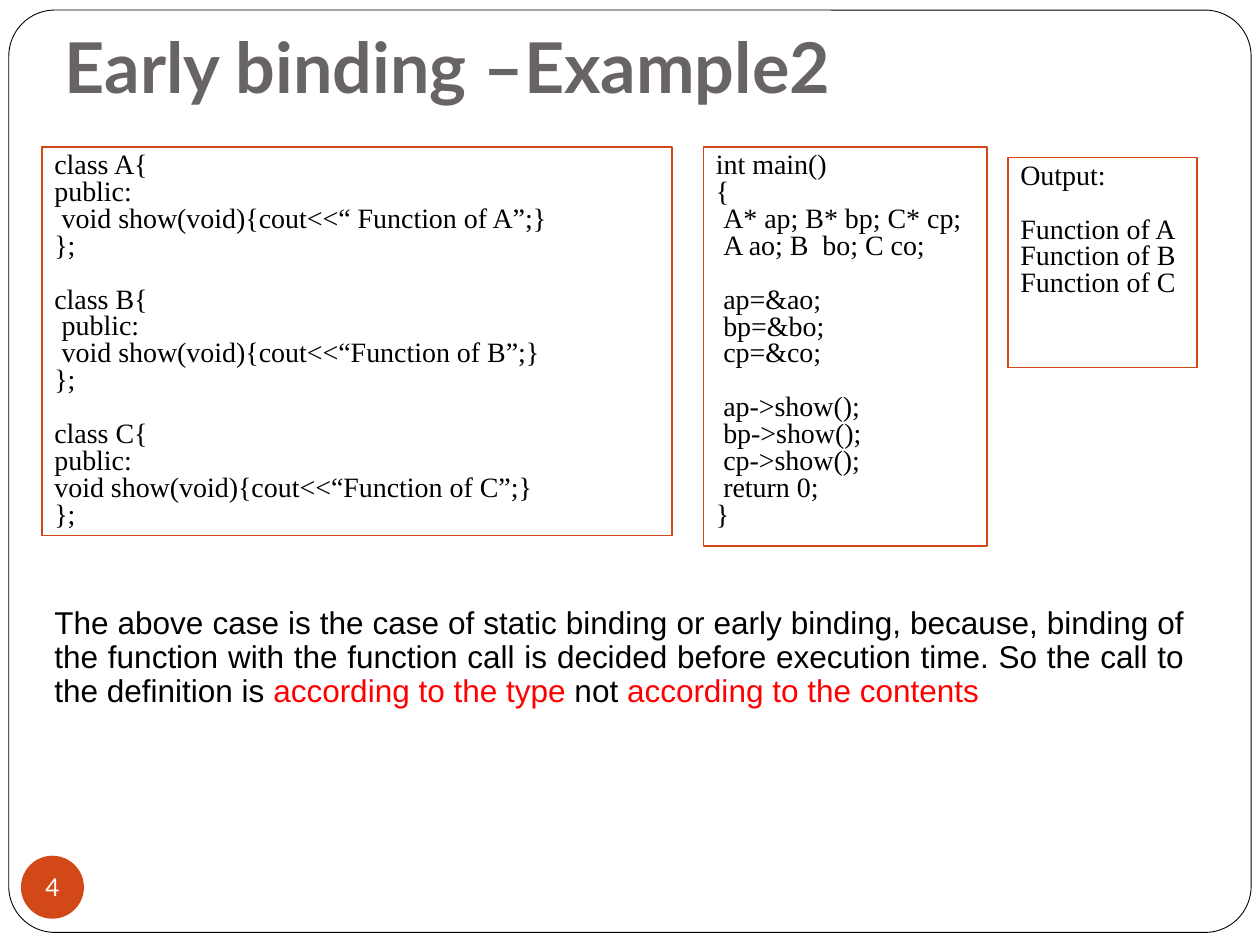
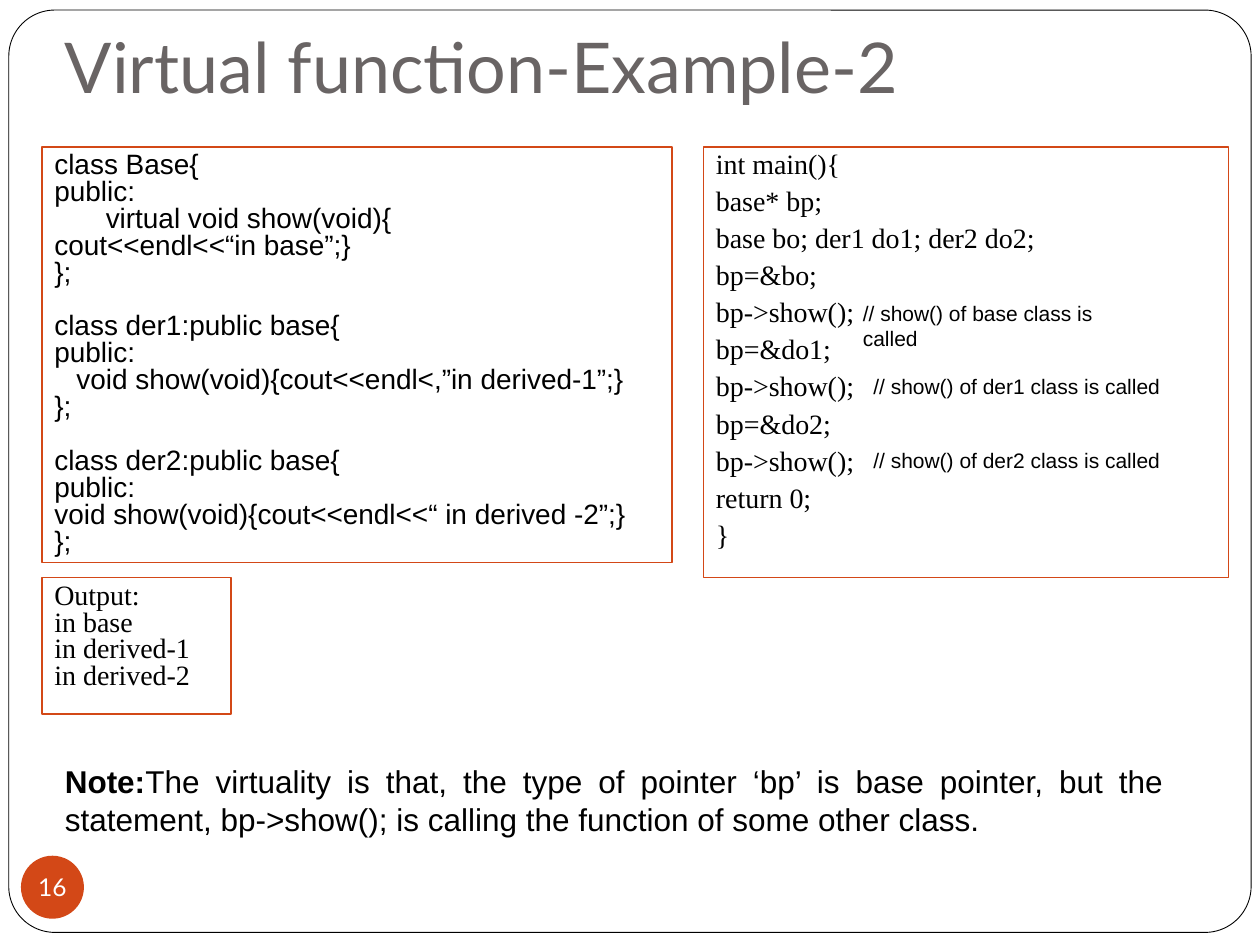
"""Build two C++ binding slides laid out on a grid of twelve cells to the inch."""
from pptx import Presentation, util as u
from pptx.dml.color import RGBColor
from pptx.enum import shapes, text

WIDE, HIGH = 120, 90
CELL = u.Inches(10) // WIDE
WHITE = RGBColor(0xFF, 0xFF, 0xFF)
BLACK = RGBColor(0, 0, 0)
RED = RGBColor(0xFF, 0, 0)
RUST = RGBColor(0xD3, 0x48, 0x17)
GREY = RGBColor(0x69, 0x64, 0x64)
LATO, ARIAL, TIMES = "Lato", "Arial", "Times New Roman"
TOP, ROW = 14, 3.5
TIGHT, BREAK, INDENT = 0.8, 15.4, 4.2

SLIDES = [
    {
        "title": "Early binding –Example2", "bold": True, "page": 4,
        "code": [
            {"at": (67, TOP, 27, 38), "font": TIMES, "parts": [
                ["int main()", "{", " A* ap; B* bp; C* cp;", " A ao; B  bo; C co;"],
                [" ap=&ao;", " bp=&bo;", " cp=&co;"],
                [" ap->show();", " bp->show();", " cp->show();", " return 0;", "}"]]},
            {"at": (4, TOP, 60, 37), "font": TIMES, "parts": [
                ["class A{", "public:", " void show(void){cout<<“ Function of A”;}", "};"],
                ["class B{", " public:", " void show(void){cout<<“Function of B”;}", "};"],
                ["class C{", "public:", "void show(void){cout<<“Function of C”;}", "};"]]},
            {"at": (96, 15, 18, 20), "font": TIMES, "parts": [
                ["Output:"], ["Function of A", "Function of B", "Function of C"]]},
        ],
        "hints": [],
        "note": {"at": (4, 57.25, 110, 14.5), "pitch": 0.9, "runs": [
            ("The above case is the case of static binding or early binding, because, "
             "binding of the function with the function call is decided before execution "
             "time. So the call to the definition is ", BLACK, False),
            ("according to the type ", RED, False),
            ("not ", BLACK, False),
            ("according to the contents", RED, False)]},
    },
    {
        "title": "Virtual function-Example-2", "bold": False, "page": 16,
        "code": [
            {"at": (67, TOP, 50, 41), "font": TIMES, "gap": 5.8, "parts": [
                ["int main(){", "base* bp;", "base bo; der1 do1; der2 do2;",
                 "bp=&bo;", "bp->show();", "bp=&do1;", "bp->show();",
                 "bp=&do2;", "bp->show();", "return 0;", "}"]]},
            {"at": (4, TOP, 60, 39.6), "font": ARIAL, "parts": [
                ["class Base{", "public:", "       virtual void show(void){",
                 "cout<<endl<<“in base”;}", "};"],
                ["class der1:public base{", "public:",
                 "   void show(void){cout<<endl<,”in derived-1”;}", "};"],
                ["class der2:public base{", "public:",
                 "void show(void){cout<<endl<<“ in derived -2”;}", "};"]]},
            {"at": (4, 55, 18, 13), "font": TIMES, "parts": [
                ["Output:", "in base", "in derived-1", "in derived-2"]]},
        ],
        "hints": [(4, 81, "base"), (6, 82, "der1"), (8, 82, "der2")],
        "note": {"at": (5, 72, 107, 8.4), "pitch": 1.0, "runs": [
            ("Note:", BLACK, True),
            ("The virtuality is that, the type of pointer ‘bp’ is base pointer, but the "
             "statement, bp->show(); is calling the function of some other class.",
             BLACK, False)]},
    },
]


def place(at):
    return [u.Emu(round(n * CELL)) for n in at]


def style(run, size, face, tint=BLACK, bold=False):
    font = run.font
    font.size, font.name, font.bold = u.Pt(size), face, bold
    font.color.rgb = tint


def draw(slide, kind, at, fill=None, line=None, width=0.75):
    shape = slide.shapes.add_shape(kind, *place(at))
    shape.shadow.inherit = False
    if fill is None:
        shape.fill.background()
    else:
        shape.fill.solid()
        shape.fill.fore_color.rgb = fill
    if line is None:
        shape.line.fill.background()
    else:
        shape.line.color.rgb, shape.line.width = line, u.Pt(width)
    return shape


def label(slide, at, words, size, face, tint=BLACK, bold=False, wrap=True):
    frame = slide.shapes.add_textbox(*place(at)).text_frame
    frame.word_wrap = wrap
    frame.text = words
    style(frame.paragraphs[0].runs[0], size, face, tint, bold)
    return frame


def base(slide, title, bold, page):
    edge = draw(slide, shapes.MSO_SHAPE.ROUNDED_RECTANGLE,
                (0.84, 0.96, WIDE - 1.68, HIGH - 2.16), WHITE, BLACK, 0.5)
    edge.adjustments[0] = 0.05
    head = label(slide, (5, 3, 109, 8.4), title, 40, LATO, GREY, bold)
    head.vertical_anchor = text.MSO_ANCHOR.BOTTOM
    head.margin_bottom = u.Inches(0.1)
    disc = draw(slide, shapes.MSO_SHAPE.OVAL, (2, 81.5, 6, 6), RUST)
    frame = disc.text_frame
    frame.margin_left = frame.margin_right = frame.margin_top = frame.margin_bottom = 0
    frame.word_wrap = False
    frame.vertical_anchor = text.MSO_ANCHOR.MIDDLE
    frame.text = str(page)
    frame.paragraphs[0].alignment = text.PP_ALIGN.CENTER
    style(frame.paragraphs[0].runs[0], 14, LATO, WHITE)


def listing(slide, at, font, parts, gap=0):
    frame = draw(slide, shapes.MSO_SHAPE.RECTANGLE, at, line=RUST).text_frame
    frame.word_wrap = True
    frame.vertical_anchor = text.MSO_ANCHOR.TOP
    lines = [(row, line) for part in parts for row, line in enumerate(part)]
    frame.text = "\n".join(line.lstrip() for _, line in lines)
    for index, (para, (row, line)) in enumerate(zip(frame.paragraphs, lines)):
        para.alignment = text.PP_ALIGN.LEFT
        para.line_spacing = TIGHT
        para.space_before = u.Pt(BREAK if index and row == 0 else gap)
        depth = len(line) - len(line.lstrip())
        if depth:
            para._p.get_or_add_pPr().set("marL", str(u.Pt(depth * INDENT)))
        style(para.runs[0], 16, font)


def remark(slide, at, pitch, runs):
    frame = slide.shapes.add_textbox(*place(at)).text_frame
    frame.word_wrap = True
    para = frame.paragraphs[0]
    para.alignment, para.line_spacing = text.PP_ALIGN.JUSTIFY, pitch
    for words, tint, bold in runs:
        run = para.add_run()
        run.text = words
        style(run, 18, ARIAL, tint, bold)


def main():
    deck = Presentation()
    deck.slide_width, deck.slide_height = WIDE * CELL, HIGH * CELL
    for data in SLIDES:
        slide = deck.slides.add_slide(deck.slide_layouts[6])
        base(slide, data["title"], data["bold"], data["page"])
        for block in data["code"]:
            listing(slide, **block)
        for row, left, name in data["hints"]:
            label(slide, (left, TOP + row * ROW, 30, 3.6),
                  f"// show() of {name} class is called", 12, ARIAL, wrap=False)
        remark(slide, **data["note"])
    deck.save("out.pptx")


if __name__ == "__main__":
    main()
